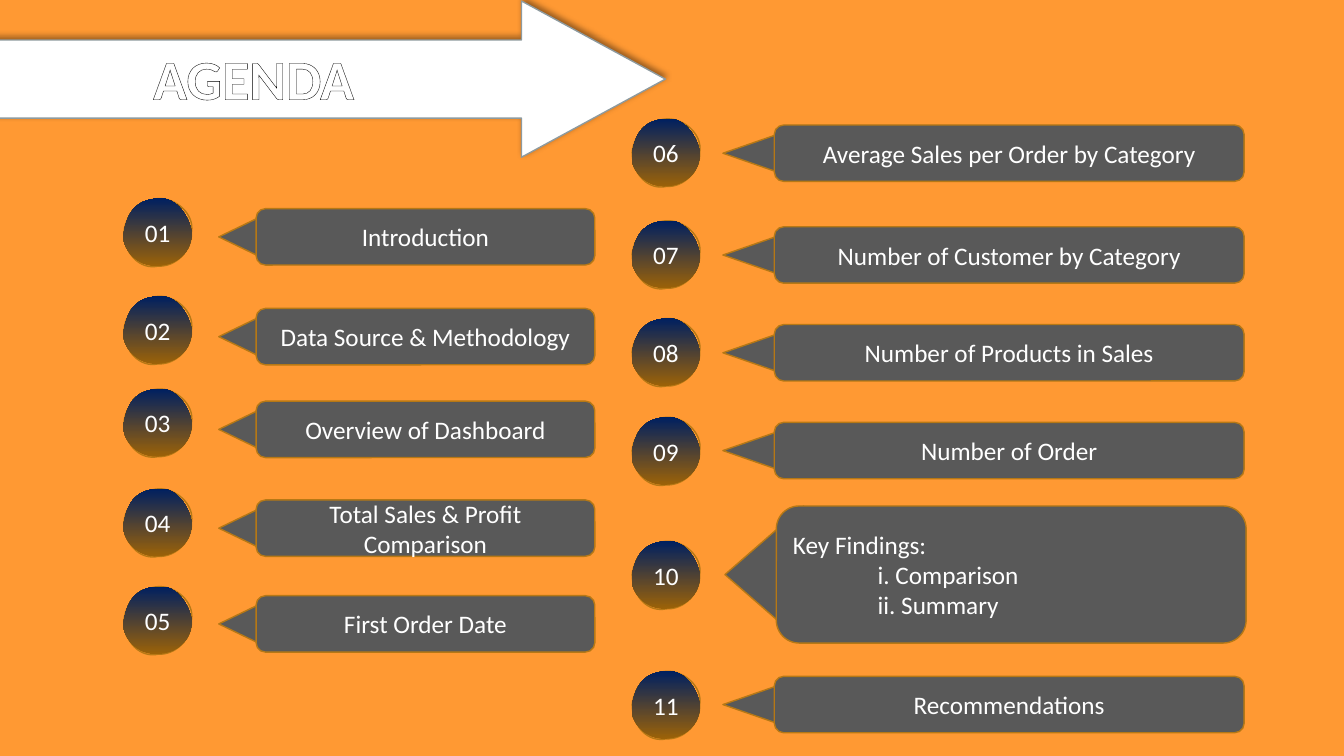
"""Build the agenda slide: a title arrow and eleven numbered callouts."""
from lxml import etree
from pptx import Presentation
from pptx.dml.color import RGBColor
from pptx.enum.shapes import MSO_SHAPE
from pptx.enum.text import MSO_ANCHOR, MSO_AUTO_SIZE, PP_ALIGN
from pptx.util import Inches, Pt

RECT, ARROW = MSO_SHAPE.RECTANGLE, MSO_SHAPE.NOTCHED_RIGHT_ARROW
TRIANGLE, BAR = MSO_SHAPE.ISOSCELES_TRIANGLE, MSO_SHAPE.ROUNDED_RECTANGLE
CENTER, LEFT = PP_ALIGN.CENTER, PP_ALIGN.LEFT
TOP, MIDDLE = MSO_ANCHOR.TOP, MSO_ANCHOR.MIDDLE
NO_FIT = MSO_AUTO_SIZE.NONE
FONT, WHITE, GREY, GOLD = "Calibri", "FFFFFF", "595959", "B67815"
NS = 'xmlns:a="http://schemas.openxmlformats.org/drawingml/2006/main"'
SHADOW = (f'<a:effectLst {NS}><a:outerShdw blurRad="50800" dist="38100" dir="16200000">'
          '<a:srgbClr val="000000"><a:alpha val="40000"/></a:srgbClr></a:outerShdw></a:effectLst>')
OUTLINE = f'<a:ln {NS} w="9525"><a:solidFill><a:srgbClr val="000000"/></a:solidFill></a:ln>'

# Disc curves in hundredths of an inch, inside a 67 by 67 box
DISC_ANCHORS = [(0, 33), (34, 0), (67, 33), (34, 67)]
DISC_PATHS = [
    ('fill="none"', [[(2, 14), (18, 1), (34, 0)], [(51, -1), (70, 15), (67, 33)],
                     [(68, 52), (51, 68), (34, 67)], [(16, 71), (0, 55), (0, 33)]]),
    ('stroke="0"', [[(4, 11), (14, 1), (34, 0)], [(52, -2), (65, 18), (67, 33)],
                    [(68, 53), (52, 66), (34, 67)], [(15, 69), (-4, 50), (0, 33)]]),
]

# Column: disc left, bar left, bar width, pointer centre offset, pointer length, items
# Item: disc top, bar top, bar height, lines
COLUMNS = [
    (1.23, 2.54, 3.36, 0.09, 0.56, [
        (1.97, 2.07, 0.56, ["Introduction"]),
        (2.94, 3.06, 0.56, ["Data Source & Methodology"]),
        (3.86, 3.98, 0.56, ["Overview of Dashboard"]),
        (4.85, 4.96, 0.56, ["Total Sales & Profit Comparison"]),
        (5.82, 5.91, 0.56, ["First Order Date"]),
    ]),
    (6.27, 7.68, 4.66, 0.12, 0.78, [
        (1.18, 1.24, 0.56, ["Average Sales per Order by Category"]),
        (2.19, 2.25, 0.56, ["Number of Customer by Category"]),
        (3.16, 3.22, 0.56, ["Number of Products in Sales"]),
        (4.14, 4.19, 0.56, ["Number of Order"]),
        (5.37, 5.02, 1.36, ["Key Findings:", "i. Comparison", "ii. Summary"]),
        (6.66, 6.71, 0.56, ["Recommendations"]),
    ]),
]


def rgb(value):
    return RGBColor.from_string(value)


def style(sp, lines):
    sp.shadow.inherit = False
    sp.line.color.rgb = rgb(GOLD)
    sp.line.width = Pt(1)
    tf = sp.text_frame
    tf.word_wrap = True
    tf.vertical_anchor = MIDDLE
    for i, line in enumerate(lines):
        p = tf.add_paragraph() if i else tf.paragraphs[0]
        p.text = line
        p.alignment = LEFT if len(lines) > 1 else CENTER
        if i:
            p._p.get_or_add_pPr().set("marL", str(Inches(0.84)))
        p.font.name = FONT
        p.font.size = Pt(18)
        p.font.color.rgb = rgb(WHITE)


prs = Presentation()
prs.slide_width, prs.slide_height = Inches(13.33), Inches(7.5)
s = prs.slides.add_slide(prs.slide_layouts[5])
s.background.fill.solid()
s.background.fill.fore_color.rgb = rgb("F2F2F2")

panel = s.shapes.add_shape(RECT, Inches(-0.03), 0, Inches(13.37), prs.slide_height)
panel.shadow.inherit = False
panel.fill.solid()
panel.fill.fore_color.rgb = rgb("FF9933")
panel.line.fill.background()

arrow = s.shapes.add_shape(ARROW, Inches(-0.74), Inches(0.01), Inches(7.34), Inches(1.55))
arrow.adjustments[0], arrow.adjustments[1] = 0.5, 0.921
arrow.fill.solid()
arrow.fill.fore_color.rgb = rgb(WHITE)
arrow.line.color.rgb = rgb("8E9A9E")
arrow.line.width = Pt(1)
arrow.element.spPr.append(etree.fromstring(SHADOW))

title = s.shapes.title
title.left, title.top, title.width, title.height = [Inches(v) for v in (0.24, 0.46, 4.55, 0.75)]
arrow.element.addnext(title.element)
tf = title.text_frame
tf.auto_size = NO_FIT
tf.vertical_anchor = TOP
p = tf.paragraphs[0]
p.alignment = CENTER
p.line_spacing = 0.9
r = p.add_run()
r.text = "AGENDA"
r.font.name, r.font.size, r.font.bold = FONT, Pt(40), True
r.font.color.rgb = rgb(WHITE)
r._r.get_or_add_rPr().insert(0, etree.fromstring(OUTLINE))

disc_xml = ""
for paint, curves in DISC_PATHS:
    disc_xml += f'<a:path w="67" h="67" {paint}><a:moveTo><a:pt x="0" y="33"/></a:moveTo>'
    for curve in curves:
        points = "".join(f'<a:pt x="{x}" y="{y}"/>' for x, y in curve)
        disc_xml += f"<a:cubicBezTo>{points}</a:cubicBezTo>"
    disc_xml += "<a:close/></a:path>"

number = 0
for disc_left, bar_left, bar_width, offset, length, items in COLUMNS:
    for disc_top, bar_top, bar_height, lines in items:
        number += 1
        tall = len(lines) > 1
        builder = s.shapes.build_freeform(*DISC_ANCHORS[0], scale=Inches(0.01))
        builder.add_line_segments(DISC_ANCHORS[1:], close=True)
        disc = builder.convert_to_shape(Inches(disc_left), Inches(disc_top))
        disc.left, disc.top = Inches(disc_left), Inches(disc_top)
        paths = disc.element.xpath(".//a:pathLst")[0]
        paths.getparent().replace(paths, etree.fromstring(f"<a:pathLst {NS}>{disc_xml}</a:pathLst>"))
        disc.fill.gradient()
        disc.fill.gradient_angle = 90
        for stop, color in zip(disc.fill.gradient_stops, ("9B6208", "002060")):
            stop.color.rgb = rgb(color)
        style(disc, [f"{number:02d}"])

        left = bar_left + 0.02 if tall else bar_left
        base = bar_height if tall else 0.54
        pointer = s.shapes.add_shape(
            TRIANGLE, Inches(left - offset - base / 2), Inches(bar_top + (bar_height - length) / 2),
            Inches(base), Inches(length))
        pointer.rotation = 270
        bar = s.shapes.add_shape(BAR, Inches(left), Inches(bar_top), Inches(bar_width), Inches(bar_height))
        for sp, text in ((pointer, []), (bar, lines)):
            sp.fill.solid()
            sp.fill.fore_color.rgb = rgb(GREY)
            style(sp, text)

prs.save("out.pptx")
